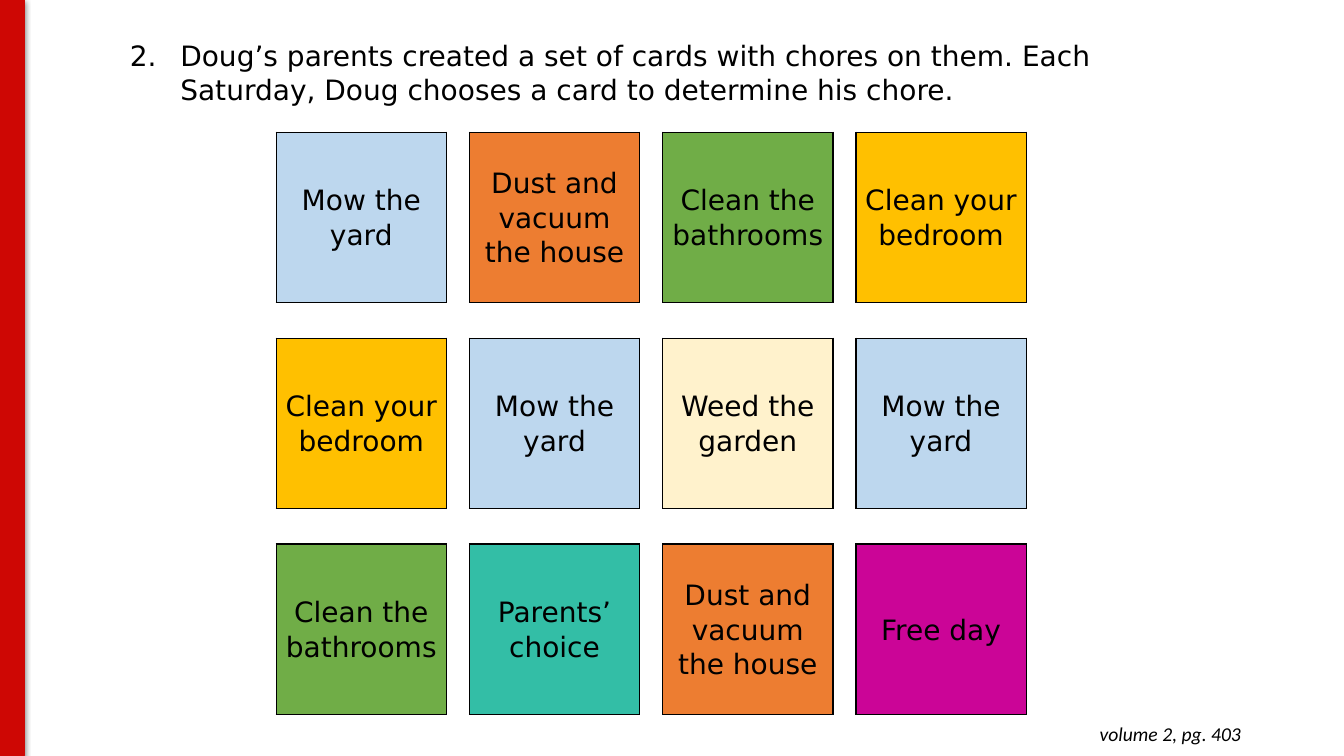
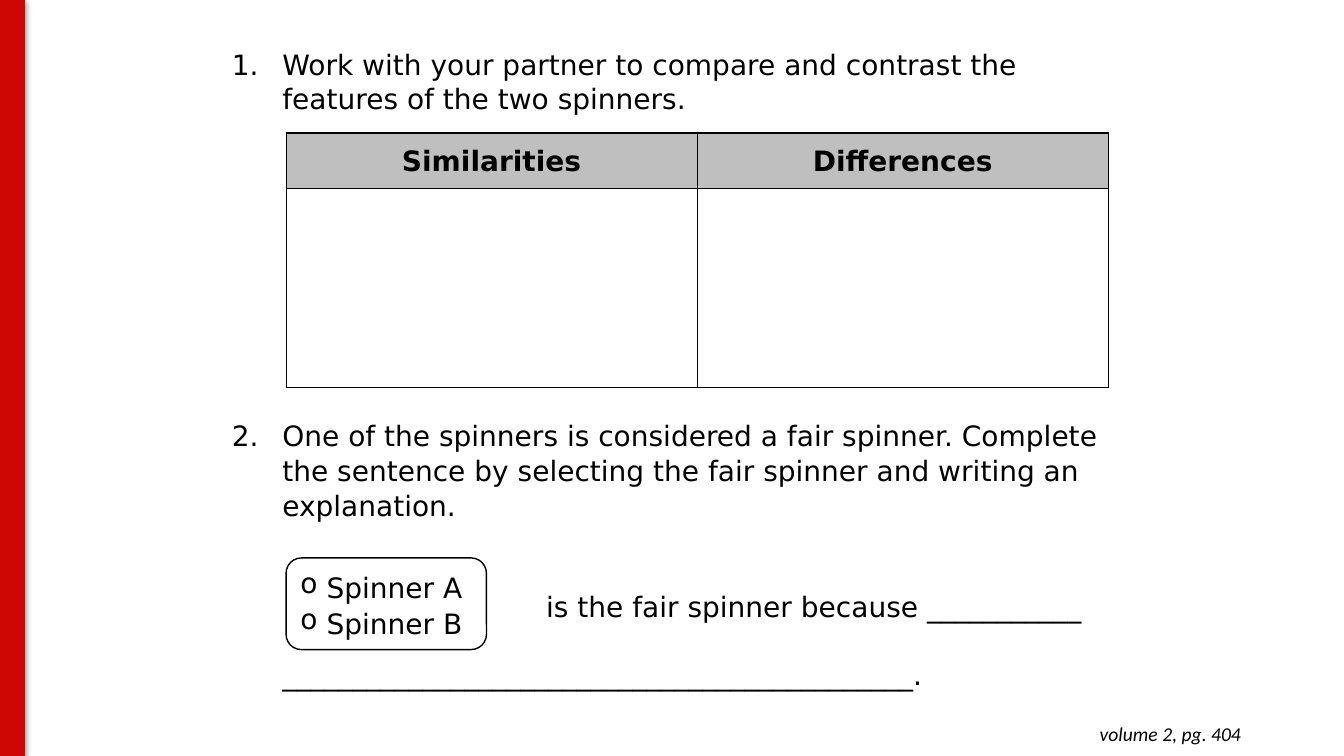
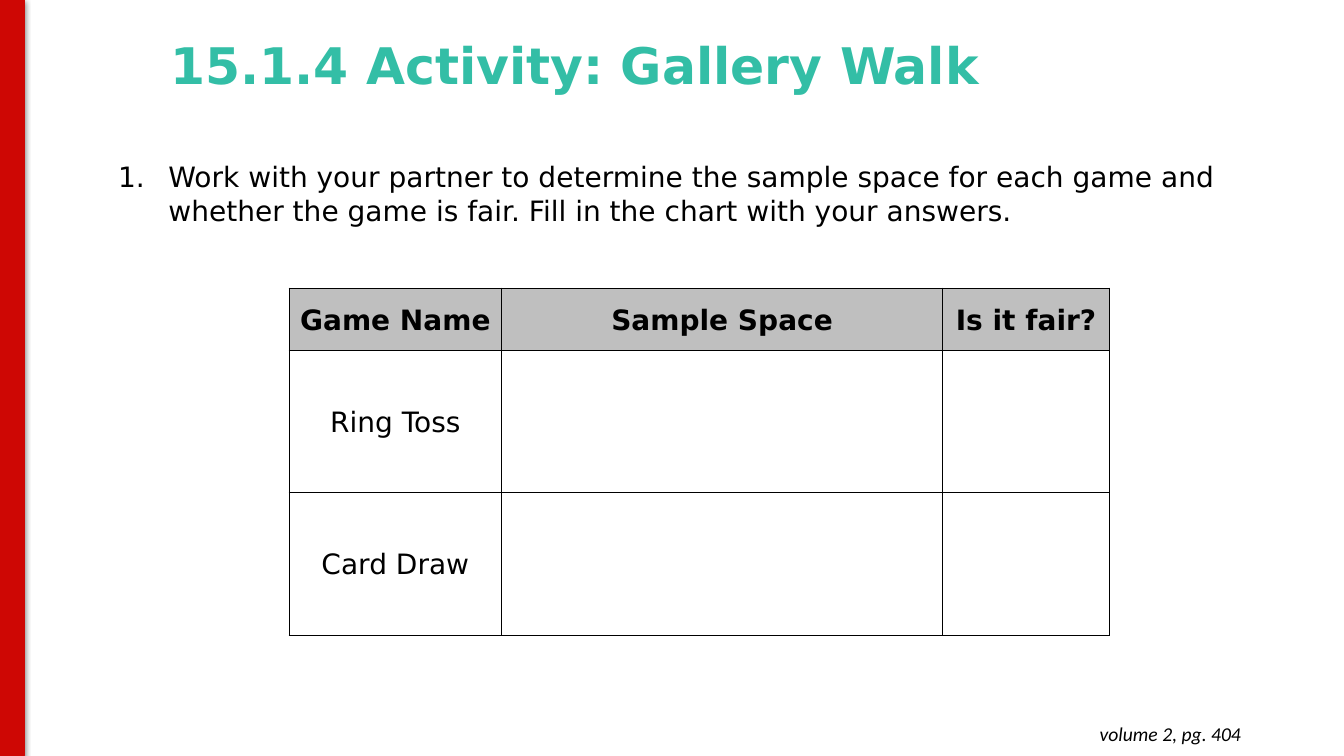
from itertools import cycle, islice

from lxml import etree
from pptx import Presentation
from pptx.dml.color import RGBColor
from pptx.enum import shapes, text
from pptx.oxml.ns import qn
from pptx.util import Cm, Pt


class Theme:
    black, grey, red = "000000", "BFBFBF", "CE0704"
    blue, orange, green, gold = "BDD7EE", "ED7D31", "70AD47", "FFC000"
    cream, teal, pink = "FFF2CC", "33BEA6", "CB0597"
    body = {"name": "DejaVu Sans", "size": Pt(20), "bold": False, "color": black}
    head = {**body, "bold": True}
    title = {**head, "size": Pt(36), "color": teal}
    page = {"name": "Calibri", "size": Pt(14), "italic": True, "color": black}
    plain = "{2D5ABB26-0587-4C30-8999-92F81FD0307C}"


left, mid, right = text.PP_ALIGN.LEFT, text.PP_ALIGN.CENTER, text.PP_ALIGN.RIGHT
middle = text.MSO_ANCHOR.MIDDLE
hang = Cm(1.27)


def write(par, words, look, mark=("buNone", {}), inset=0, first=0, **form):
    """Fill a paragraph: bullet and indents, then spacing, then the font."""
    props = par._p.get_or_add_pPr()
    props.set("marL", str(int(inset)))
    props.set("indent", str(int(first)))
    etree.SubElement(props, qn("a:" + mark[0]), mark[1])
    for key, val in {"space_before": Pt(0), **form}.items():
        setattr(par, key, val)
    run = par.add_run()
    run.text = words
    for key, val in look.items():
        if key == "color":
            run.font.color.rgb = RGBColor.from_string(val)
        else:
            setattr(run.font, key, val)


def grid(slide, spot, cols, rows, cells, gaps=False):
    """Add a ruled table; cells maps (row, column) to (words, look, fill).

    With gaps, every second row and column is an unruled spacer.
    """
    frame = slide.shapes.add_table(len(rows), len(cols), Cm(spot[0]), Cm(spot[1]),
                                   Cm(sum(cols)), Cm(sum(rows)))
    table = frame.table
    table.first_row = table.horz_banding = False
    table._tbl.tblPr.find(qn("a:tableStyleId")).text = Theme.plain
    for col, wide in zip(table.columns, cols):
        col.width = Cm(wide)
    for row, high in zip(table.rows, rows):
        row.height = Cm(high)
    for r in range(len(rows)):
        for c in range(len(cols)):
            cell = table.cell(r, c)
            cell.margin_left = cell.margin_right = Cm(0.18)
            cell.margin_top = cell.margin_bottom = 0
            cell.vertical_anchor = middle
            words, look, fill = cells.get((r, c), ("", None, None))
            if words:
                write(cell.text_frame.paragraphs[0], words, look,
                      alignment=mid, line_spacing=1.07)
            if fill:
                cell.fill.solid()
                cell.fill.fore_color.rgb = RGBColor.from_string(fill)
            else:
                cell.fill.background()
            sides = ("LR" if not gaps or r % 2 == 0 else "")
            sides += ("TB" if not gaps or c % 2 == 0 else "")
            props = cell._tc.get_or_add_tcPr()
            for i, side in enumerate(sides):
                edge = etree.Element(qn("a:ln" + side), {"w": str(Pt(1))})
                ink = etree.SubElement(edge, qn("a:solidFill"))
                etree.SubElement(ink, qn("a:srgbClr"), {"val": Theme.black})
                props.insert(i, edge)


deck = Presentation()
deck.slide_width, deck.slide_height = Cm(33.87), Cm(19.05)

# Shared parts: question list, red band, page reference
num = ("buAutoNum", {"type": "arabicPeriod"})
num2 = ("buAutoNum", {"type": "arabicPeriod", "startAt": "2"})
item = {"mark": num, "inset": hang, "first": -hang}
pages = [
    ("403", (3.02, 0.81, 28.32, 1.96), [
        ("Doug’s parents created a set of cards with chores on them. "
         "Each Saturday, Doug chooses a card to determine his chore.",
         {**item, "mark": num2})]),
    ("404", (5.59, 1.04, 23.14, 16.51), [
        ("Work with your partner to compare and contrast the features "
         "of the two spinners.", item),
        ("One of the spinners is considered a fair spinner. Complete the "
         "sentence by selecting the fair spinner and writing an explanation.",
         {**item, "space_before": Pt(216)}),
        ("is the fair spinner because " + "_" * 11,
         {"inset": Cm(7.92), "space_before": Pt(47.5)}),
        ("_" * 45 + ".", {"inset": hang, "space_before": Pt(24)})]),
    ("404", (2.72, 3.86, 29.13, 1.96), [
        ("Work with your partner to determine the sample space for each game "
         "and whether the game is fair. Fill in the chart with your answers.",
         item)]),
]
for page, spot, lines in pages:
    slide = deck.slides.add_slide(deck.slide_layouts[1])
    body = slide.placeholders[1]
    body.left, body.top, body.width, body.height = map(Cm, spot)
    frame = body.text_frame
    frame.auto_size = text.MSO_AUTO_SIZE.NONE
    for i, (words, form) in enumerate(lines):
        par = frame.add_paragraph() if i else frame.paragraphs[0]
        write(par, words, Theme.body, line_spacing=1.03, **form)

    band = slide.shapes.add_shape(shapes.MSO_SHAPE.RECTANGLE, 0, 0,
                                  Cm(0.61), deck.slide_height)
    band.fill.solid()
    band.fill.fore_color.rgb = band.line.color.rgb = RGBColor.from_string(Theme.red)
    band.line.width = Pt(0.75)
    band.shadow.inherit = False
    glow = etree.SubElement(
        band._element.spPr.find(qn("a:effectLst")), qn("a:outerShdw"),
        {"blurRad": str(Pt(4.5)), "dist": str(Pt(1.5)), "dir": "5400000"})
    tone = etree.SubElement(glow, qn("a:srgbClr"), {"val": Theme.black})
    etree.SubElement(tone, qn("a:alpha"), {"val": "50000"})

    note = slide.shapes.add_textbox(Cm(24.21), Cm(17.93), Cm(7.32), Cm(1.12)).text_frame
    note.word_wrap = True
    for side in ("left", "right", "top", "bottom"):
        setattr(note, "margin_" + side, Cm(0.25))
    write(note.paragraphs[0], "volume 2, pg. " + page, Theme.page, alignment=right)

chores, spin, walk = deck.slides
for slide in (chores, spin):
    name = slide.shapes.title._element
    name.getparent().remove(name)

# Chore cards
mow = ("Mow the yard", Theme.body, Theme.blue)
dust = ("Dust and vacuum the house", Theme.body, Theme.orange)
bath = ("Clean the bathrooms", Theme.body, Theme.green)
bed = ("Clean your bedroom", Theme.body, Theme.gold)
weed = ("Weed the garden", Theme.body, Theme.cream)
pick = ("Parents’ choice", Theme.body, Theme.teal)
free = ("Free day", Theme.body, Theme.pink)
cards = [[mow, dust, bath, bed], [bed, mow, weed, mow], [bath, pick, dust, free]]
grid(chores, (6.96, 3.33),
     list(islice(cycle((4.29, 0.58)), 7)), list(islice(cycle((4.29, 0.9)), 5)),
     {(2 * r, 2 * c): card for r, row in enumerate(cards)
      for c, card in enumerate(row)}, gaps=True)

# Spinners
grid(spin, (7.21, 3.35), [10.36] * 2, [1.41, 5],
     {(0, c): (words, Theme.head, Theme.grey)
      for c, words in enumerate(("Similarities", "Differences"))})
box = spin.shapes.add_shape(shapes.MSO_SHAPE.ROUNDED_RECTANGLE,
                            Cm(7.21), Cm(14.06), Cm(5.05), Cm(2.31))
box.shadow.inherit = False
box.fill.background()
box.line.color.rgb = RGBColor.from_string(Theme.black)
box.line.width = Pt(1)
frame = box.text_frame
frame.vertical_anchor = middle
for i, words in enumerate(("Spinner A", "Spinner B")):
    par = frame.add_paragraph() if i else frame.paragraphs[0]
    write(par, words, Theme.body, ("buChar", {"char": "o"}), Cm(0.66), Cm(-0.81),
          alignment=left, line_spacing=1.07)

# Gallery walk
name = walk.shapes.title
name.left, name.top, name.width, name.height = Cm(4.04), Cm(-0.13), Cm(22.28), Cm(3.68)
name.text_frame.vertical_anchor = middle
write(name.text_frame.paragraphs[0], "15.1.4 Activity: Gallery Walk", Theme.title,
      alignment=left, line_spacing=0.9)
cells = {(0, c): (words, Theme.head, Theme.grey)
         for c, words in enumerate(("Game Name", "Sample Space", "Is it fair?"))}
for r, game in enumerate(("Ring Toss", "Card Draw"), 1):
    cells[r, 0] = (game, Theme.body, None)
grid(walk, (7.29, 7.26), [5.35, 11.12, 4.2], [1.57, 3.58, 3.6], cells)

deck.save("out.pptx")
